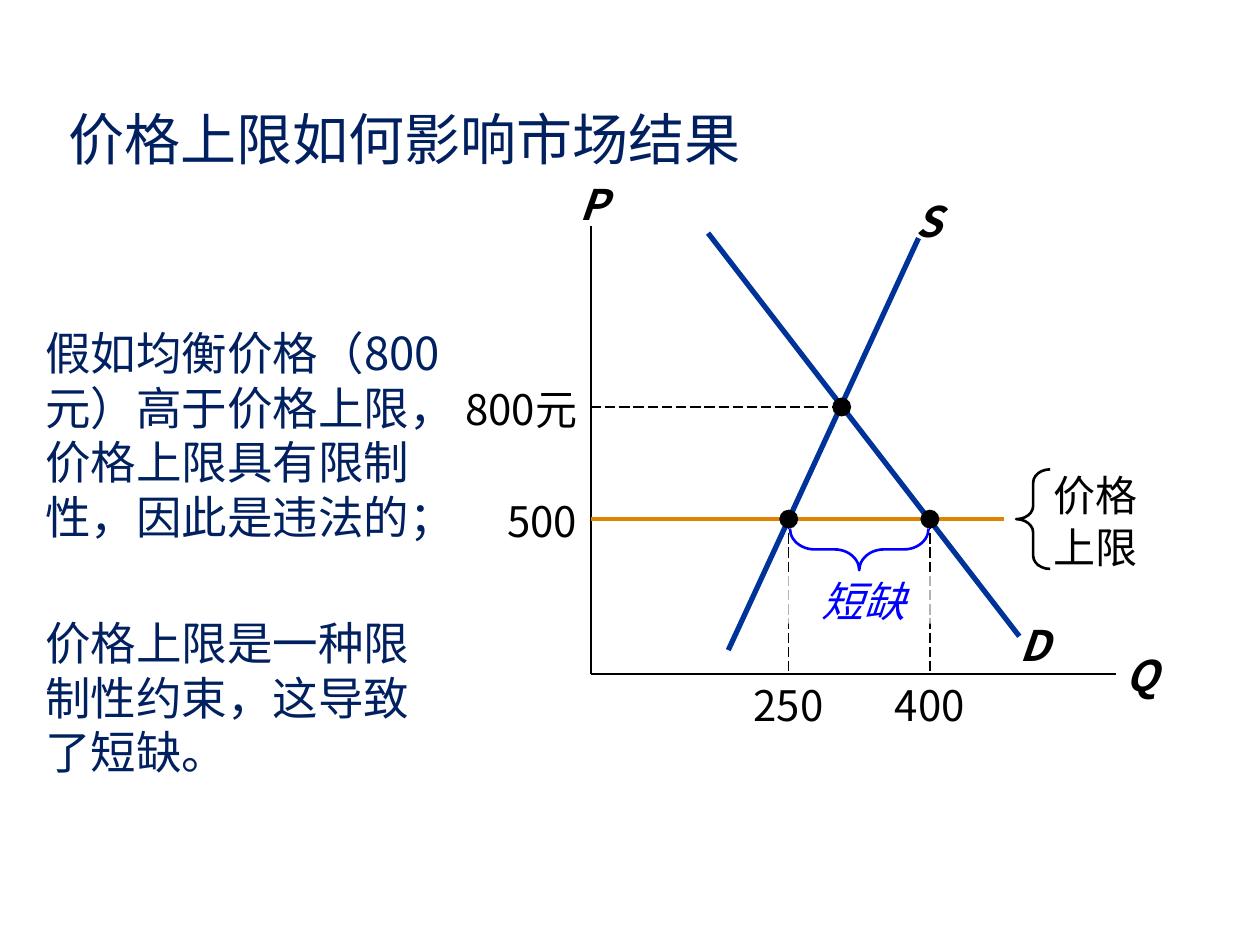
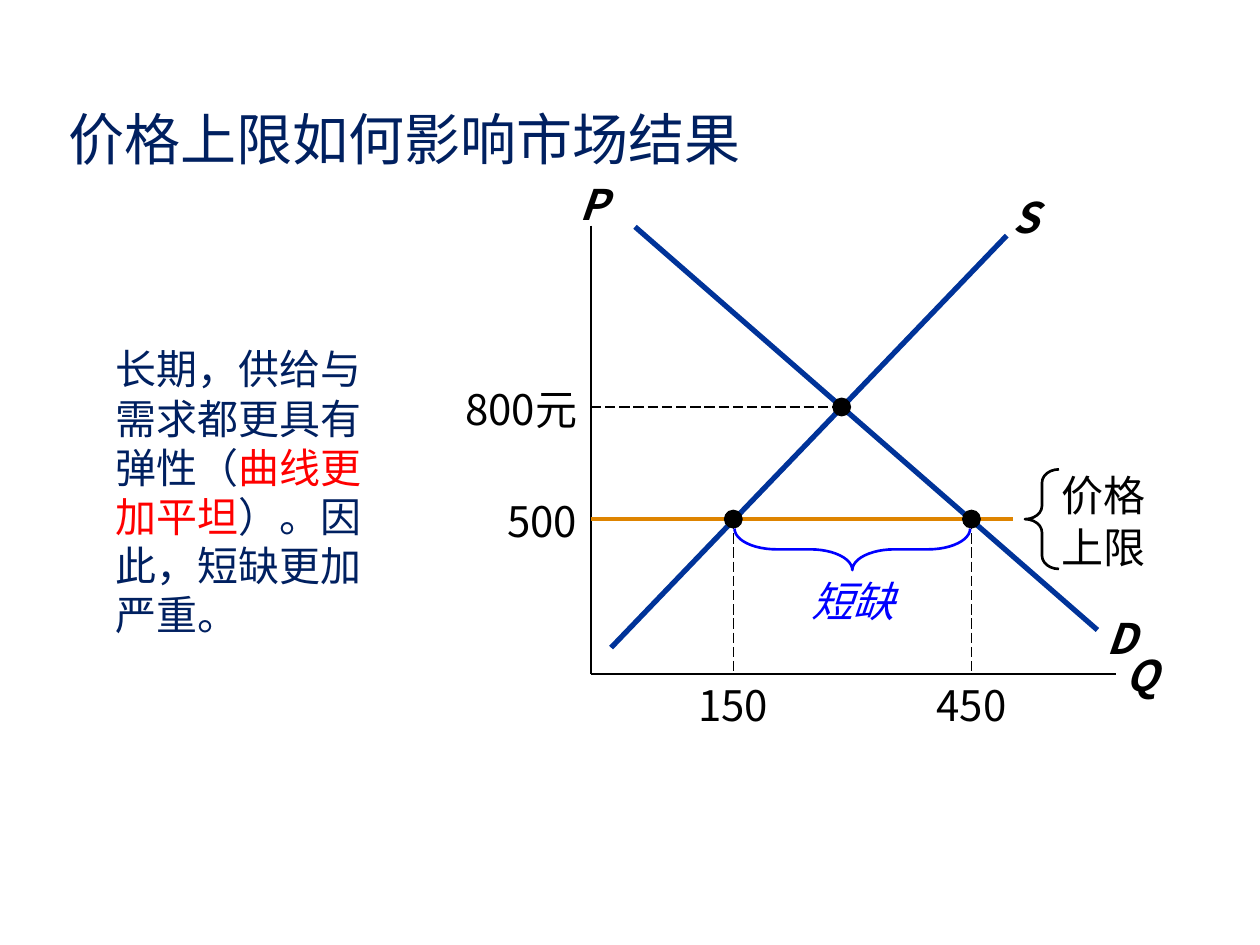
import dataclasses

import pptx
import pptx.dml.color
import pptx.enum.dml
import pptx.enum.shapes
import pptx.enum.text
import pptx.oxml
import pptx.oxml.ns
import pptx.util

Inches = pptx.util.Inches
Pt = pptx.util.Pt
SHAPE = pptx.enum.shapes.MSO_SHAPE
ALIGN = pptx.enum.text.PP_ALIGN
ANCHOR = pptx.enum.text.MSO_ANCHOR
DASH = pptx.enum.dml.MSO_LINE.LONG_DASH


@dataclasses.dataclass(frozen=True)
class Theme:
    font: str = "Noto Sans CJK SC"
    navy: str = "002060"
    black: str = "000000"
    white: str = "FFFFFF"
    curve: str = "003399"
    cap: str = "DE8400"
    blue: str = "0000FF"
    red: str = "FF0000"
    title: float = 32
    label: float = 24
    lead: float = 1.24
    tight: float = 1.2


@dataclasses.dataclass(frozen=True)
class Market:
    """Where the curves, the cap and their labels lie, in inches."""
    demand: tuple
    supply: tuple
    d_mark: tuple
    s_mark: tuple
    quants: tuple
    cap_end: float
    note_x: float


THEME = Theme()
TITLE = "价格上限如何影响市场结果"
LEFT, BASE = 4.69, 5.35
EVEN_X, EVEN_Y, CAP_Y = 6.68, 3.23, 4.12

SHORT = Market(
    demand=((5.62, 1.85), (8.09, 5.05)), supply=((5.78, 5.16), (7.29, 1.89)),
    d_mark=(8.21, 4.85), s_mark=(7.37, 1.49),
    quants=((6.26, "250"), (7.38, "400")), cap_end=7.97, note_x=6.85)
LONG = Market(
    demand=((5.04, 1.8), (8.71, 5)), supply=((4.85, 5.14), (7.99, 1.87)),
    d_mark=(8.9, 4.8), s_mark=(8.14, 1.46),
    quants=((5.82, "150"), (7.71, "450")), cap_end=8.04, note_x=6.77)


def color(code):
    return pptx.dml.color.RGBColor.from_string(code)


def write(frame, paras, size=THEME.label, ink=THEME.black, bold=False,
          slant=False, align=ALIGN.CENTER, anchor=ANCHOR.TOP,
          lead=THEME.lead, gap=0, inset=(0, 0)):
    """Fill a frame; each paragraph is a string or a list of (text, ink)."""
    frame.word_wrap = True
    frame.auto_size = pptx.enum.text.MSO_AUTO_SIZE.NONE
    frame.vertical_anchor = anchor
    frame.margin_left = frame.margin_right = Inches(inset[0])
    frame.margin_top = frame.margin_bottom = Inches(inset[1])
    if isinstance(paras, str):
        paras = [paras]
    for num, parts in enumerate(paras):
        para = frame.add_paragraph() if num else frame.paragraphs[0]
        para.alignment = align
        para.line_spacing = Pt(round(size * lead, 1))
        para.space_before = Pt(gap if num else 0)
        for text, tone in [(parts, ink)] if isinstance(parts, str) else parts:
            run = para.add_run()
            run.text = text
            font = run.font
            font.name, font.size = THEME.font, Pt(size)
            font.bold, font.italic = bold, slant
            font.color.rgb = color(tone)
            east = pptx.oxml.parse_xml(
                f'<a:ea {pptx.oxml.ns.nsdecls("a")} typeface="{THEME.font}"/>')
            font._element.find(pptx.oxml.ns.qn("a:latin")).addnext(east)


def label(slide, text, left, top, width, height, **style):
    box = slide.shapes.add_textbox(*map(Inches, (left, top, width, height)))
    write(box.text_frame, text, **style)


def letter(slide, text, mid, top):
    label(slide, text, mid - 0.25, top, 0.5, 0.5, bold=True, slant=True,
          inset=(0, 0.05))


def line(slide, start, end, ink=THEME.black, width=0.75, dash=None):
    kind = pptx.enum.shapes.MSO_CONNECTOR.STRAIGHT
    rule = slide.shapes.add_connector(kind, *map(Inches, (*start, *end)))
    rule.line.color.rgb = color(ink)
    rule.line.width = Pt(width)
    if dash:
        rule.line.dash_style = dash
    flat = pptx.oxml.parse_xml(f'<a:effectLst {pptx.oxml.ns.nsdecls("a")}/>')
    rule._element.spPr.append(flat)


def shape(slide, kind, mid, size, fill=None, ink=None):
    """Add a preset shape around its centre."""
    corner = [at - span / 2 for at, span in zip(mid, size)]
    form = slide.shapes.add_shape(kind, *map(Inches, (*corner, *size)))
    form.shadow.inherit = False
    if fill:
        form.fill.solid()
        form.fill.fore_color.rgb = color(fill)
    else:
        form.fill.background()
    if ink:
        form.line.color.rgb = color(ink)
        form.line.width = Pt(1.5)
    else:
        form.line.fill.background()
    return form


def brace(slide, mid, size, bend, ink=THEME.black, turn=0):
    form = shape(slide, SHAPE.LEFT_BRACE, mid, size, ink=ink)
    form.adjustments[0] = bend
    form.adjustments[1] = 0.5
    form.rotation = turn


def dot(slide, x, y):
    shape(slide, SHAPE.OVAL, (x, y), (0.15, 0.15), fill=THEME.black)


def axes(slide):
    line(slide, (LEFT, 1.79), (LEFT, BASE), width=1)
    line(slide, (LEFT, BASE), (8.86, BASE), width=1)
    letter(slide, "P", 4.71, 1.35)
    letter(slide, "Q", 9.06, 5.09)


def price(slide, text, y):
    label(slide, text, 3.56, y - 0.2, 1.02, 0.4, align=ALIGN.RIGHT)


def curves(slide, market):
    line(slide, *market.demand, ink=THEME.curve, width=3)
    line(slide, *market.supply, ink=THEME.curve, width=3)
    letter(slide, "D", *market.d_mark)
    letter(slide, "S", *market.s_mark)
    line(slide, (LEFT, EVEN_Y), (EVEN_X, EVEN_Y), dash=DASH)
    dot(slide, EVEN_X, EVEN_Y)
    price(slide, "800元", EVEN_Y)


def ceiling(slide, end):
    line(slide, (LEFT, CAP_Y), (end, CAP_Y), ink=THEME.cap, width=2.25)
    brace(slide, (end + 0.23, CAP_Y), (0.27, 0.79), 0.39)
    label(slide, "价格上限", end + 0.29, 3.66, 1.06, 0.91,
          align=ALIGN.LEFT, inset=(0.1, 0.05))
    price(slide, "500", CAP_Y)


def shortage(slide, market):
    for x, count in market.quants:
        line(slide, (x, CAP_Y), (x, BASE), dash=DASH)
        dot(slide, x, CAP_Y)
        label(slide, count, x - 0.48, 5.38, 0.96, 0.4)
    low, high = (x for x, _ in market.quants)
    span = high - low - 0.02
    brace(slide, ((low + high) / 2, 4.36), (0.33, span),
          0.54 * span, ink=THEME.blue, turn=270)
    note = shape(slide, SHAPE.RECTANGLE, (market.note_x, 4.75), (1.35, 0.4),
                 fill=THEME.white)
    tone = note._element.spPr.find(".//" + pptx.oxml.ns.qn("a:srgbClr"))
    tone.append(pptx.oxml.parse_xml(
        f'<a:alpha {pptx.oxml.ns.nsdecls("a")} val="70000"/>'))
    write(note.text_frame, "短缺", ink=THEME.blue, slant=True)


def page(deck, market, text, place, size, gap=0):
    slide = deck.slides.add_slide(deck.slide_layouts[5])
    head = slide.shapes.title
    head.left, head.top, head.width, head.height = map(
        Inches, (0.26, 0.73, 5.91, 0.71))
    write(head.text_frame, TITLE, size=THEME.title, ink=THEME.navy,
          anchor=ANCHOR.MIDDLE, inset=(0.1, 0.05))
    label(slide, text, *place, size=size, ink=THEME.navy, align=ALIGN.LEFT,
          lead=THEME.tight, gap=gap, inset=(0.1, 0.05))
    axes(slide)
    curves(slide, market)
    ceiling(slide, market.cap_end)
    shortage(slide, market)


def main():
    deck = pptx.Presentation()
    deck.slide_width, deck.slide_height = Inches(10), Inches(7.5)
    page(deck, SHORT,
         ["假如均衡价格（800元）高于价格上限，价格上限具有限制性，因此是违法的；",
          "价格上限是一种限制性约束，这导致了短缺。"],
         (0.26, 2.53, 3.37, 3.55), 26, gap=41)
    page(deck, LONG,
         [[("长期，供给与需求都更具有弹性（", THEME.navy),
           ("曲线更加平坦", THEME.red),
           ("）。因此，短缺更加严重。", THEME.navy)]],
         (0.82, 2.68, 2.35, 2.31), 23.4)
    deck.save("out.pptx")


if __name__ == "__main__":
    main()
